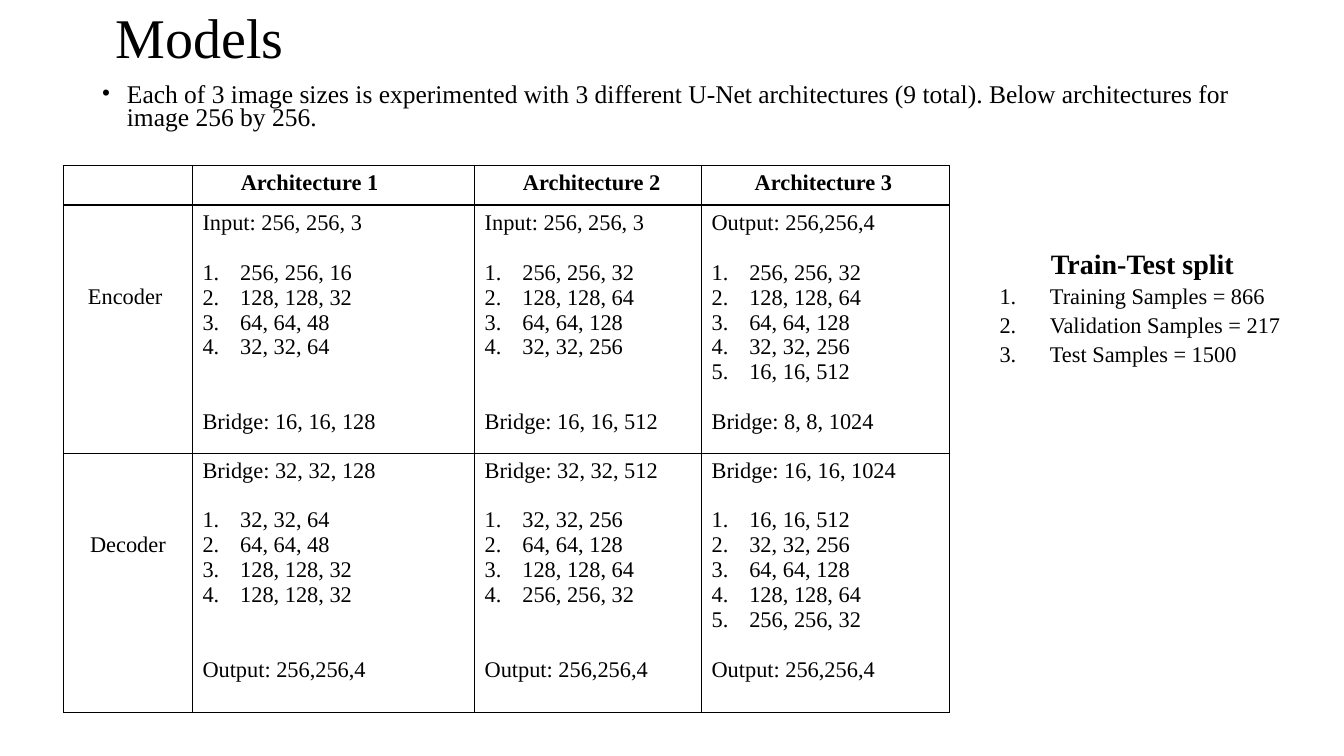
from dataclasses import dataclass

from lxml import etree
from pptx import Presentation
from pptx import util as u
from pptx.dml import color
from pptx.enum import text
from pptx.oxml import ns


@dataclass(frozen=True)
class Theme:
    font: str = "Times New Roman"
    ink: str = "000000"
    title: float = 40
    lead: float = 18.2
    head: float = 20
    body: float = 16
    line: float = 17.7
    rule: float = 1


@dataclass(frozen=True)
class Block:
    first: str
    items: tuple[str, ...]
    last: str


@dataclass(frozen=True)
class Stage:
    name: str
    blocks: tuple[Block, ...]
    height: float


@dataclass(frozen=True)
class Head:
    label: str
    inset: float


THEME = Theme()
LEFT = 1.6
COLS = (3.25, 7.11, 5.72, 6.25)
HEADS = (
    Head("", 0.25),
    Head("Architecture 1", 1.22),
    Head("Architecture 2", 1.22),
    Head("Architecture 3", 1.34),
)
STAGES = (
    Stage("Encoder ", (
        Block("Input: 256, 256, 3",
              ("256, 256, 16", "128, 128, 32", "64, 64, 48", "32, 32, 64"),
              "Bridge: 16, 16, 128"),
        Block("Input: 256, 256, 3",
              ("256, 256, 32", "128, 128, 64", "64, 64, 128", "32, 32, 256"),
              "Bridge: 16, 16, 512"),
        Block("Output: 256,256,4",
              ("256, 256, 32", "128, 128, 64", "64, 64, 128", "32, 32, 256",
               "16, 16, 512"),
              "Bridge: 8, 8, 1024"),
    ), 5.9),
    Stage("Decoder", (
        Block("Bridge: 32, 32, 128",
              ("32, 32, 64", "64, 64, 48", "128, 128, 32", "128, 128, 32"),
              "Output: 256,256,4"),
        Block("Bridge: 32, 32, 512",
              ("32, 32, 256", "64, 64, 128", "128, 128, 64", "256, 256, 32"),
              "Output: 256,256,4"),
        Block("Bridge: 16, 16, 1024",
              ("16, 16, 512", "32, 32, 256", "64, 64, 128", "128, 128, 64",
               "256, 256, 32"),
              "Output: 256,256,4"),
    ), 6.53),
)
SPLIT = ("Training Samples = 866", "Validation Samples = 217",
         "Test Samples = 1500")


def put(frame, words: str, *, size: float = THEME.body, bold: bool = False,
        align=text.PP_ALIGN.LEFT, space: float = 1, before: float = 0,
        mark: str = "", hang: float = 0) -> None:
    para = frame.paragraphs[0]
    if para.runs:
        para = frame.add_paragraph()
    para.alignment = align
    para.line_spacing = space
    para.space_before = u.Pt(before)
    run = para.add_run()
    run.text = words
    run.font.name = THEME.font
    run.font.size = u.Pt(size)
    run.font.bold = bold
    run.font.color.rgb = color.RGBColor.from_string(THEME.ink)
    if mark:
        props = para._p.get_or_add_pPr()
        props.set("marL", str(u.Cm(hang)))
        props.set("indent", str(-u.Cm(hang)))
        etree.SubElement(props, ns.qn("a:buFont"), typeface=THEME.font)
        if mark == "1.":
            etree.SubElement(props, ns.qn("a:buAutoNum"), type="arabicPeriod")
        else:
            etree.SubElement(props, ns.qn("a:buChar"), char=mark)


def box(slide, x: float, y: float, w: float, h: float,
        anchor=text.MSO_ANCHOR.TOP):
    frame = slide.shapes.add_textbox(
        u.Cm(x), u.Cm(y), u.Cm(w), u.Cm(h)).text_frame
    frame.word_wrap = True
    frame.vertical_anchor = anchor
    return frame


def edge(cell) -> None:
    cell.fill.background()
    props = cell._tc.get_or_add_tcPr()
    for spot, side in enumerate(("lnL", "lnR", "lnT", "lnB")):
        line = etree.Element(ns.qn(f"a:{side}"), w=str(u.Pt(THEME.rule)))
        fill = etree.SubElement(line, ns.qn("a:solidFill"))
        etree.SubElement(fill, ns.qn("a:srgbClr"), val=THEME.ink)
        props.insert(spot, line)


def grid(slide, y: float, rows: tuple[float, ...]):
    table = slide.shapes.add_table(
        len(rows), len(COLS), u.Cm(LEFT), u.Cm(y),
        u.Cm(sum(COLS)), u.Cm(sum(rows))).table
    table.first_row = table.horz_banding = False
    for col, width in zip(table.columns, COLS):
        col.width = u.Cm(width)
    for row, height in zip(table.rows, rows):
        row.height = u.Cm(height)
    for cell in table.iter_cells():
        edge(cell)
    return table


def heads(slide) -> None:
    table = grid(slide, 4.17, (0.98,))
    for cell, head in zip(table.iter_cells(), HEADS):
        if head.label:
            cell.margin_left = u.Cm(head.inset)
            put(cell.text_frame, head.label, bold=True)
        else:
            cell.margin_top = cell.margin_bottom = 0


def fill(frame, block: Block) -> None:
    put(frame, block.first)
    for spot, item in enumerate(block.items):
        put(frame, item, mark="1.", hang=0.95,
            before=0 if spot else THEME.line)
    put(frame, block.last, before=THEME.line * (6 - len(block.items)))


def stages(slide) -> None:
    table = grid(slide, 5.18, tuple(s.height for s in STAGES))
    for row, stage in enumerate(STAGES):
        name = table.cell(row, 0)
        name.margin_top = u.Cm(2)
        put(name.text_frame, stage.name, align=text.PP_ALIGN.CENTER)
        for col, block in enumerate(stage.blocks, 1):
            fill(table.cell(row, col).text_frame, block)


def main() -> None:
    deck = Presentation()
    deck.slide_width, deck.slide_height = u.Cm(33.87), u.Cm(19.05)
    slide = deck.slides.add_slide(deck.slide_layouts[6])
    put(box(slide, 2.67, 0.05, 29.21, 1.93, text.MSO_ANCHOR.MIDDLE),
        "Models", size=THEME.title, space=0.9)
    put(box(slide, 2.31, 2.03, 29.21, 2.34),
        "Each of 3 image sizes is experimented with 3 different U-Net "
        "architectures (9 total). Below architectures for image 256 by 256.",
        size=THEME.lead, space=0.75, mark="•", hang=0.64)
    stages(slide)
    heads(slide)
    split = box(slide, 24.94, 6.02, 7.7, 4.01)
    put(split, "Train-Test split", size=THEME.head, bold=True, space=1.08,
        align=text.PP_ALIGN.CENTER)
    for item in SPLIT:
        put(split, item, space=1.08, mark="1.", hang=1.27)
    deck.save("out.pptx")


if __name__ == "__main__":
    main()
